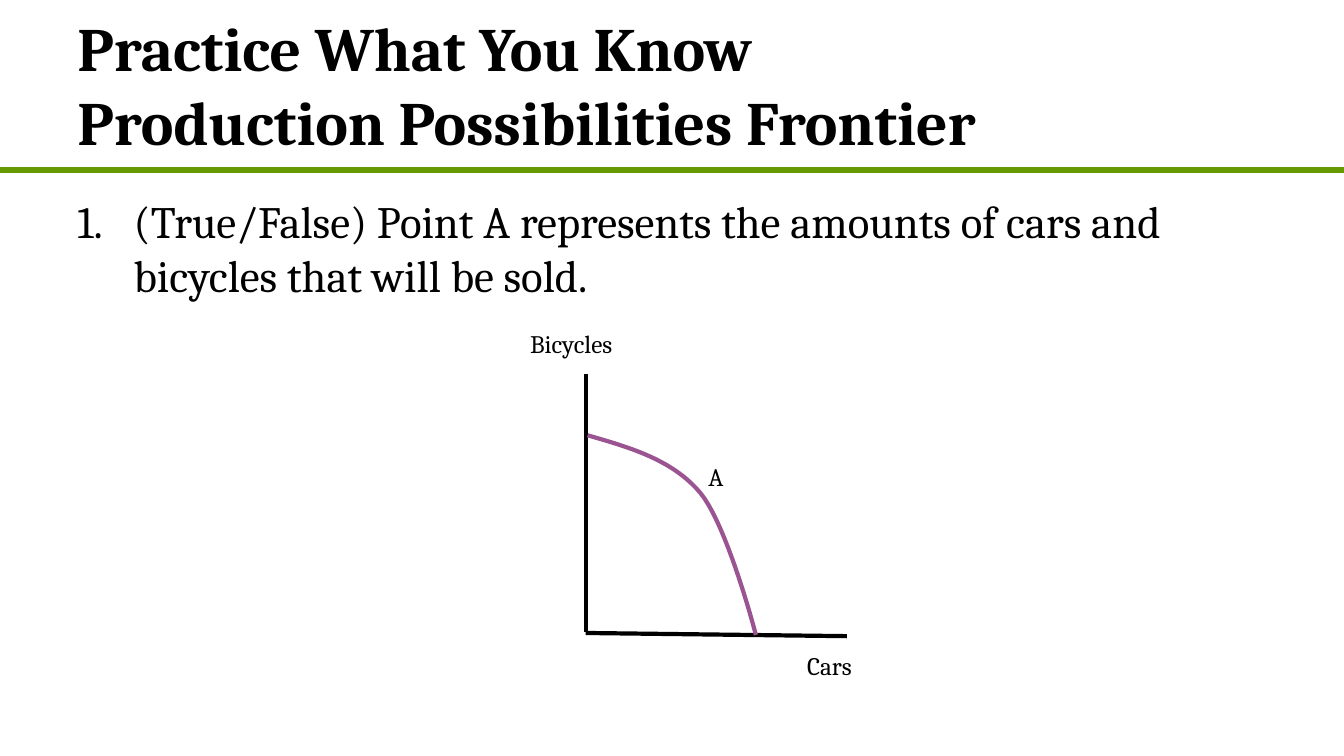
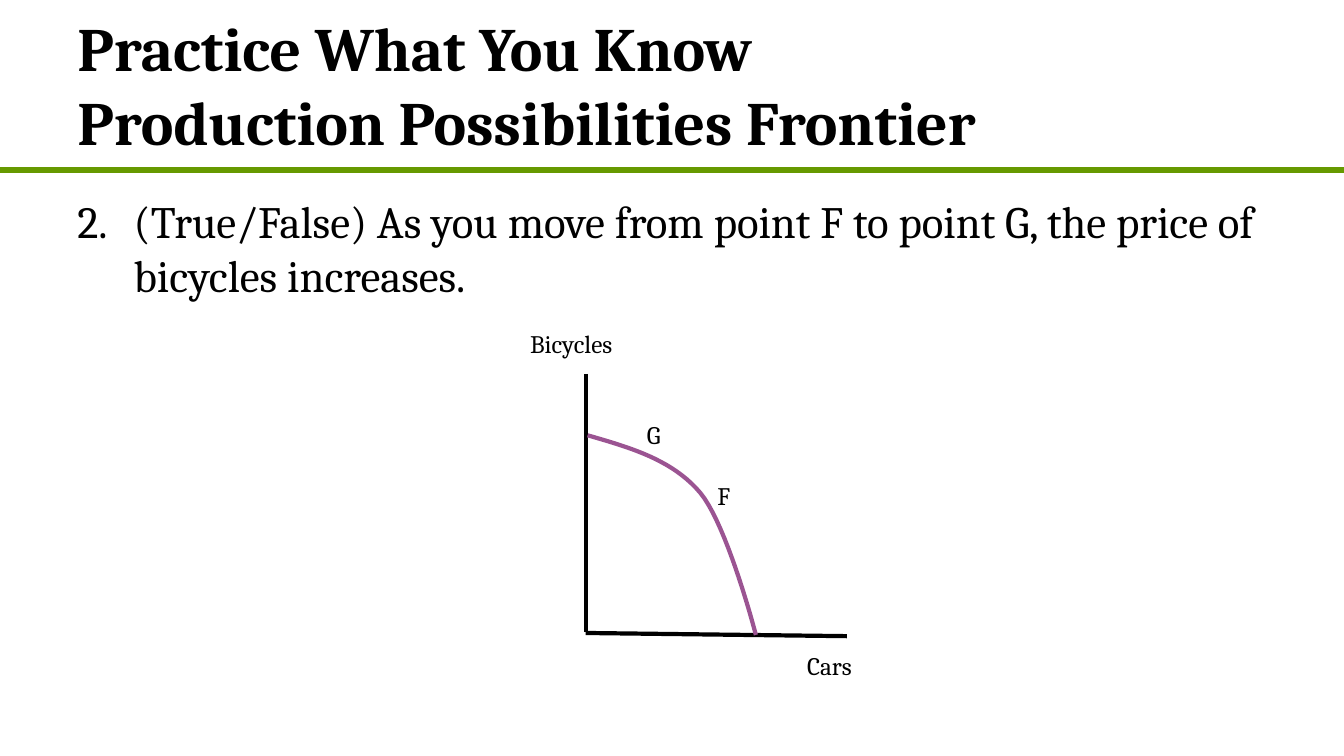
import pptx
import pptx.util
import pptx.dml.color
import pptx.enum.shapes
import pptx.enum.text
import pptx.oxml.ns
from lxml import etree
from pptx.util import Cm

BLACK = pptx.dml.color.RGBColor(0x00, 0x00, 0x00)
WHITE = pptx.dml.color.RGBColor(0xFF, 0xFF, 0xFF)
GREEN = pptx.dml.color.RGBColor(0x66, 0x99, 0x00)
PURPLE = pptx.dml.color.RGBColor(0x9B, 0x54, 0x92)
FONT = "Cambria"
TITLE = "Practice What You Know\nProduction Possibilities Frontier"
WIDTH, HEIGHT = 33.87, 19.05
MARGIN, TEXT_WIDTH = 1.7, 30.48
LABEL_HEIGHT = 1.02
HANGING_INDENT = 1.42

# Each question: its text and the points (name, left, top) marked on the curve
QUESTIONS = [
    ("(True/False) Point A represents the amounts of cars and bicycles that will be sold.",
     [("A", 17.6, 11.51)]),
    ("(True/False) As you move from point F to point G, the price of bicycles increases.",
     [("F", 17.83, 11.99), ("G", 16.05, 10.44)]),
]

# Lines in drawing order: from x, from y, to x, to y, colour, weight
LINES = [
    (0, 4.29, WIDTH, 4.29, GREEN, 4.5),
    (14.76, 9.42, 14.76, 15.93, BLACK, 3),
    (21.34, 16.03, 14.76, 15.95, BLACK, 3),
]

# Cubic Bezier segments of the frontier
FRONTIER = [
    [(14.81, 10.97), (15.88, 11.28), (16.94, 11.58), (17.65, 12.42)],
    [(17.65, 12.42), (18.34, 13.26), (19.05, 16.0), (19.05, 16.0)],
]
STEPS = 20


def add_text(page, text, left, top, width, height, size=18, bold=False,
             anchor=pptx.enum.text.MSO_ANCHOR.TOP, number=None):
    """Add a text box; number makes its paragraph a numbered item."""
    box = page.shapes.add_textbox(Cm(left), Cm(top), Cm(width), Cm(height))
    frame = box.text_frame
    frame.word_wrap = True
    frame.vertical_anchor = anchor
    para = frame.paragraphs[0]
    para.text = text
    if number:
        props = para._p.get_or_add_pPr()
        props.set("marL", str(Cm(HANGING_INDENT)))
        props.set("indent", str(-Cm(HANGING_INDENT)))
        etree.SubElement(props, pptx.oxml.ns.qn("a:buFont"), typeface="+mj-lt")
        etree.SubElement(props, pptx.oxml.ns.qn("a:buAutoNum"),
                         type="arabicPeriod", startAt=str(number))
    for span in para.runs:
        span.font.name = FONT
        span.font.size = pptx.util.Pt(size)
        span.font.bold = bold
        span.font.color.rgb = BLACK


def bezier_point(segment, t):
    weights = ((1 - t) ** 3, 3 * t * (1 - t) ** 2, 3 * t ** 2 * (1 - t), t ** 3)
    return tuple(Cm(sum(w * p[axis] for w, p in zip(weights, segment)))
                 for axis in (0, 1))


curve_points = [bezier_point(segment, step / STEPS)
                for segment in FRONTIER for step in range(1, STEPS + 1)]

deck = pptx.Presentation()
deck.slide_width, deck.slide_height = Cm(WIDTH), Cm(HEIGHT)

for number, (question, points) in enumerate(QUESTIONS, start=1):
    page = deck.slides.add_slide(deck.slide_layouts[6])

    for x1, y1, x2, y2, colour, weight in LINES:
        line = page.shapes.add_connector(
            pptx.enum.shapes.MSO_CONNECTOR.STRAIGHT, Cm(x1), Cm(y1), Cm(x2), Cm(y2))
        line.line.color.rgb = colour
        line.line.width = pptx.util.Pt(weight)
        etree.SubElement(line._element.spPr, pptx.oxml.ns.qn("a:effectLst"))

    add_text(page, TITLE, MARGIN, 0, TEXT_WIDTH, 4.24, size=44, bold=True,
             anchor=pptx.enum.text.MSO_ANCHOR.MIDDLE)
    add_text(page, question, MARGIN, 4.75, TEXT_WIDTH, 13.59, size=32, number=number)

    add_text(page, "Bicycles", 13.11, 8.15, 3.56, LABEL_HEIGHT)
    add_text(page, "Cars", 20.09, 16.26, 2.08, LABEL_HEIGHT)
    for name, left, top in points:
        add_text(page, name, left, top, 1.27, LABEL_HEIGHT)

    start_x, start_y = bezier_point(FRONTIER[0], 0)
    builder = page.shapes.build_freeform(start_x, start_y)
    builder.add_line_segments(curve_points, close=False)
    frontier = builder.convert_to_shape()
    frontier.shadow.inherit = False
    frontier.fill.solid()
    frontier.fill.fore_color.rgb = WHITE
    frontier.line.color.rgb = PURPLE
    frontier.line.width = pptx.util.Pt(3)

deck.save("out.pptx")
